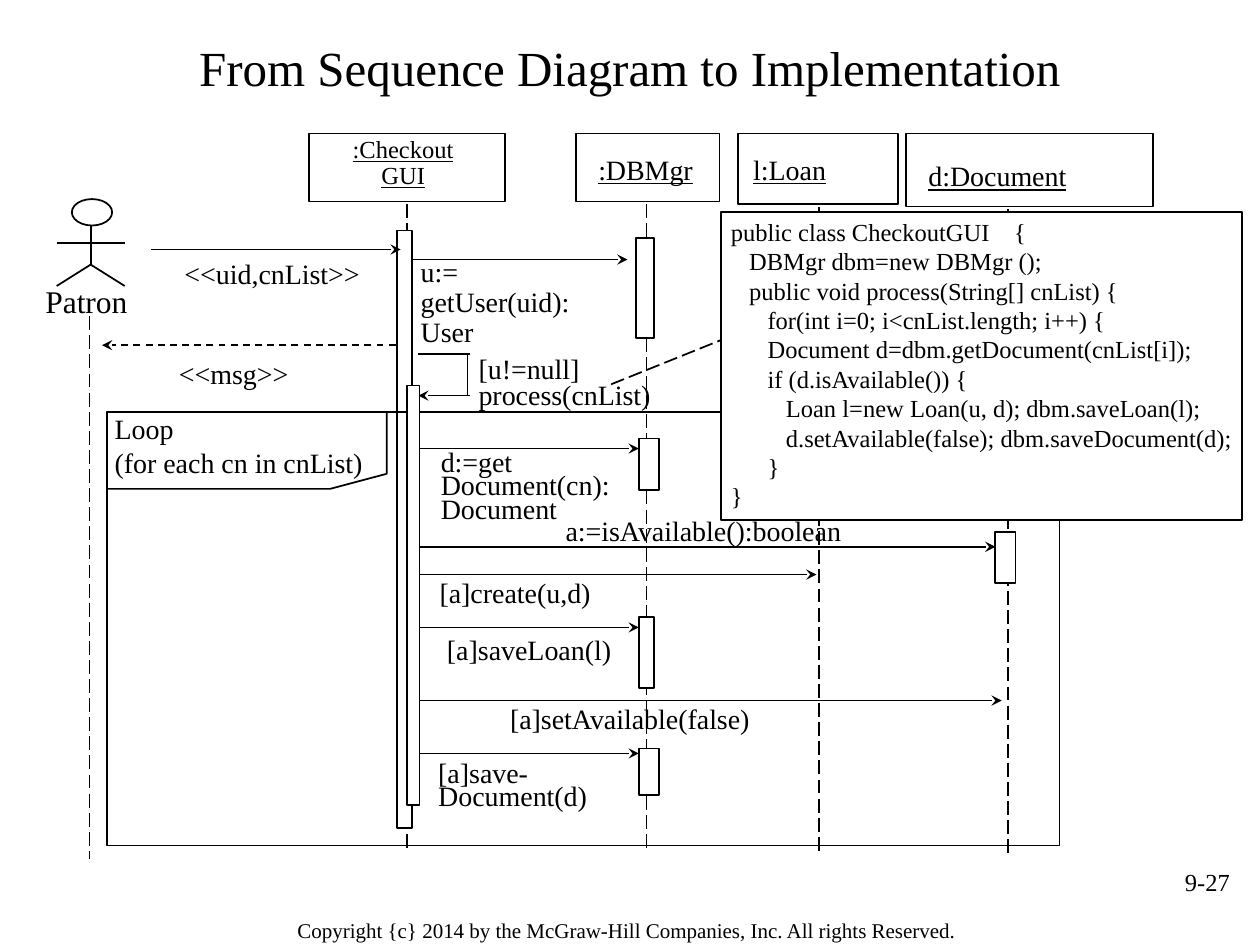
from itertools import cycle

from lxml import etree
from pptx import Presentation
from pptx.dml.color import RGBColor
from pptx.enum.dml import MSO_LINE
from pptx.enum.shapes import MSO_CONNECTOR, MSO_SHAPE
from pptx.enum.text import MSO_ANCHOR, PP_ALIGN
from pptx.oxml.ns import qn
from pptx.util import Inches, Pt

BLACK = RGBColor(0, 0, 0)
WHITE = RGBColor(255, 255, 255)
FONT = "Times New Roman"
LEFT, MID, RIGHT = PP_ALIGN.LEFT, PP_ALIGN.CENTER, PP_ALIGN.RIGHT
TOP, CENTER = MSO_ANCHOR.TOP, MSO_ANCHOR.MIDDLE
DASH, LONG = MSO_LINE.DASH, MSO_LINE.LONG_DASH
RECT, OVAL = MSO_SHAPE.RECTANGLE, MSO_SHAPE.OVAL
STRAIGHT = MSO_CONNECTOR.STRAIGHT

# Page text: lines, box, size, align, anchor
PAGE = [
    (["From Sequence Diagram to Implementation"], (0.5, 0.14, 9, 0.78), 28, MID, CENTER),
    (["9-27"], (7.53, 6.83, 2.33, 0.52), 14, RIGHT, TOP),
    (["Copyright {c} 2014 by the McGraw-Hill Companies, Inc. All rights Reserved."],
     (1.88, 7.23, 6.19, 0.31), 12, MID, TOP),
]

# Objects: head box, lifeline x, lifeline top, label lines, label box, size, align, spacing
HEADS = [
    ((2.45, 1.06, 1.56, 0.54), 3.23, 1.62, [":Checkout", "GUI"],
     (2.6, 1.04, 1.2, 0.52), 14, MID, 0.9),
    ((4.57, 1.06, 1.14, 0.54), 5.13, 1.62, [":DBMgr"],
     (4.65, 1.16, 1.06, 0.37), 16, LEFT, 1),
    ((5.86, 1.06, 1.27, 0.56), 6.5, 1.64, ["l:Loan"],
     (5.88, 1.16, 0.9, 0.37), 16, LEFT, 1),
    ((7.19, 1.06, 1.96, 0.58), 8, 1.66, ["d:Document"],
     (7.27, 1.21, 1.4, 0.37), 16, LEFT, 1),
]
SPAN = 5.15
PATRON = ((0.71, 2.51), (0.71, 6.82))

# Activation bars
BARS = [
    (3.15, 1.83, 0.12, 4.74), (5.05, 1.89, 0.14, 0.79), (5.07, 3.48, 0.16, 0.41),
    (5.07, 4.9, 0.12, 0.56), (5.07, 5.94, 0.16, 0.37), (7.9, 4.22, 0.16, 0.41),
]
INNER = (3.23, 3.06, 0.1, 3.33)

# Stick figure
FACE = (0.57, 1.58, 0.32, 0.21)
LIMBS = [
    ((0.72, 1.79), (0.72, 2.1)), ((0.72, 2.1), (0.99, 2.27)),
    ((0.72, 2.1), (0.45, 2.27)), ((0.45, 1.93), (0.99, 1.93)),
]

# Messages: start x, end x, y
CALLS = [
    (1.2, 3.18, 1.98), (3.28, 4.98, 2.06), (3.73, 3.32, 3.14),
    (3.32, 5.07, 3.56), (3.32, 7.9, 4.34), (3.26, 6.48, 4.56),
    (3.32, 5.07, 4.98), (3.3, 7.95, 5.56), (3.3, 5.07, 5.98),
]
REPLY = ((3.14, 2.74), (0.81, 2.74))
SELF = [((3.32, 2.81), (3.73, 2.81)), ((3.71, 2.81), (3.71, 3.14))]

# Message labels: lines, box, align, line spacings
LABELS = [
    (["<<uid,cnList>>"], (1.1, 1.99, 2.12, 0.37), MID, [1]),
    (["<<msg>>"], (1.25, 2.78, 1.21, 0.37), MID, [1]),
    (["u:=", "getUser(uid):", "User"], (3.24, 2, 2.05, 0.82), LEFT, [0.9]),
    (["[u!=null]", "process(cnList)"], (3.7, 2.74, 1.64, 0.57), LEFT, [1, 0.75]),
    (["d:=get", "Document(cn):", "Document"], (3.4, 3.55, 1.64, 0.66), LEFT, [0.7]),
    (["a:=isAvailable():boolean"], (4.39, 4.03, 2.5, 0.37), LEFT, [1]),
    (["[a]create(u,d)"], (3.39, 4.52, 1.5, 0.37), LEFT, [1]),
    (["[a]saveLoan(l)"], (3.13, 5.04, 2.14, 0.29), MID, [0.7]),
    (["[a]setAvailable(false)"], (3.95, 5.52, 2.2, 0.37), LEFT, [1]),
    (["[a]save-", "Document(d)"], (3.38, 6.02, 1.5, 0.47), LEFT, [0.7]),
]

# Loop frame
FRAME = (0.85, 3.27, 7.56, 3.44)
TAB = [(2.62, 3.88), (0.85, 3.88), (0.85, 3.27), (3.07, 3.27), (3.07, 3.76)]
LOOP = ["Loop", "(for each cn in cnList)"]

# Code note
NOTE = (5.72, 1.68, 4.14, 2.45)
LINK = ((4.85, 3.05), (5.72, 2.7))
CODE = """\
public class CheckoutGUI    {
   DBMgr dbm=new DBMgr ();
   public void process(String[] cnList) {
      for(int i=0; i<cnList.length; i++) {
      Document d=dbm.getDocument(cnList[i]);
      if (d.isAvailable()) {
         Loan l=new Loan(u, d); dbm.saveLoan(l);
         d.setAvailable(false); dbm.saveDocument(d);
      }
}""".split("\n")


def style(shape, fill=None):
    shape.shadow.inherit = False
    if fill is None:
        shape.fill.background()
    else:
        shape.fill.solid()
        shape.fill.fore_color.rgb = fill
    shape.line.color.rgb = BLACK
    shape.line.width = Pt(1)


def box(shapes, area, fill=None, kind=RECT):
    style(shapes.add_shape(kind, *map(Inches, area)), fill)


def line(shapes, start, end, dash=None, arrow=False):
    link = shapes.add_connector(STRAIGHT, *map(Inches, start + end))
    link.line.color.rgb = BLACK
    link.line.width = Pt(1)
    if dash is not None:
        link.line.dash_style = dash
    props = link._element.spPr
    if arrow:
        etree.SubElement(props.find(qn("a:ln")), qn("a:tailEnd"), type="stealth")
    etree.SubElement(props, qn("a:effectLst"))


def write(shapes, lines, area, size=16, align=LEFT, gaps=(1,), anchor=TOP,
          under=None, inset=(0.1, 0.05)):
    frame = shapes.add_textbox(*map(Inches, area)).text_frame
    frame.word_wrap = True
    frame.vertical_anchor = anchor
    frame.margin_left = frame.margin_right = Inches(inset[0])
    frame.margin_top = frame.margin_bottom = Inches(inset[1])
    for i, (words, gap) in enumerate(zip(lines, cycle(gaps))):
        para = frame.add_paragraph() if i else frame.paragraphs[0]
        para.alignment = align
        para.line_spacing = gap
        run = para.add_run()
        run.text = words
        run.font.name = FONT
        run.font.size = Pt(size)
        run.font.color.rgb = BLACK
        run.font.underline = under


def main():
    deck = Presentation()
    deck.slide_width, deck.slide_height = Inches(10), Inches(7.5)
    shapes = deck.slides.add_slide(deck.slide_layouts[6]).shapes

    for lines, area, size, align, anchor in PAGE:
        write(shapes, lines, area, size, align, anchor=anchor)

    # Actor
    actor = shapes.add_group_shape().shapes
    box(actor, FACE, kind=OVAL)
    for start, end in LIMBS:
        line(actor, start, end)
    write(shapes, ["Patron"], (0.36, 2.24, 0.8, 0.3), 18, inset=(0, 0))
    line(shapes, *PATRON, dash=LONG)

    # Object heads and lifelines
    for head, x, top, lines, area, size, align, gap in HEADS:
        box(shapes, head)
        write(shapes, lines, area, size, align, [gap], under=True)
        line(shapes, (x, top), (x, top + SPAN), LONG)
    for bar in BARS:
        box(shapes, bar, WHITE)

    # Messages
    for x1, x2, y in CALLS:
        line(shapes, (x1, y), (x2, y), arrow=True)
    line(shapes, *REPLY, dash=DASH, arrow=True)
    for start, end in SELF:
        line(shapes, start, end)

    # Loop frame with its name tab
    box(shapes, FRAME)
    points = [(Inches(x), Inches(y)) for x, y in TAB]
    pen = shapes.build_freeform(*points[0])
    pen.add_line_segments(points[1:], close=True)
    style(pen.convert_to_shape())
    write(shapes, LOOP, (0.91, 3.27, 2.34, 0.53), inset=(0, 0))

    for lines, area, align, gaps in LABELS:
        write(shapes, lines, area, align=align, gaps=gaps)

    # Code note
    note = shapes.add_group_shape().shapes
    box(note, NOTE, WHITE)
    write(note, CODE, (5.8, 1.72, 4.05, 2.34), 14, inset=(0, 0))
    line(note, *LINK, dash=LONG)

    box(shapes, INNER, WHITE)
    deck.save("out.pptx")


if __name__ == "__main__":
    main()
